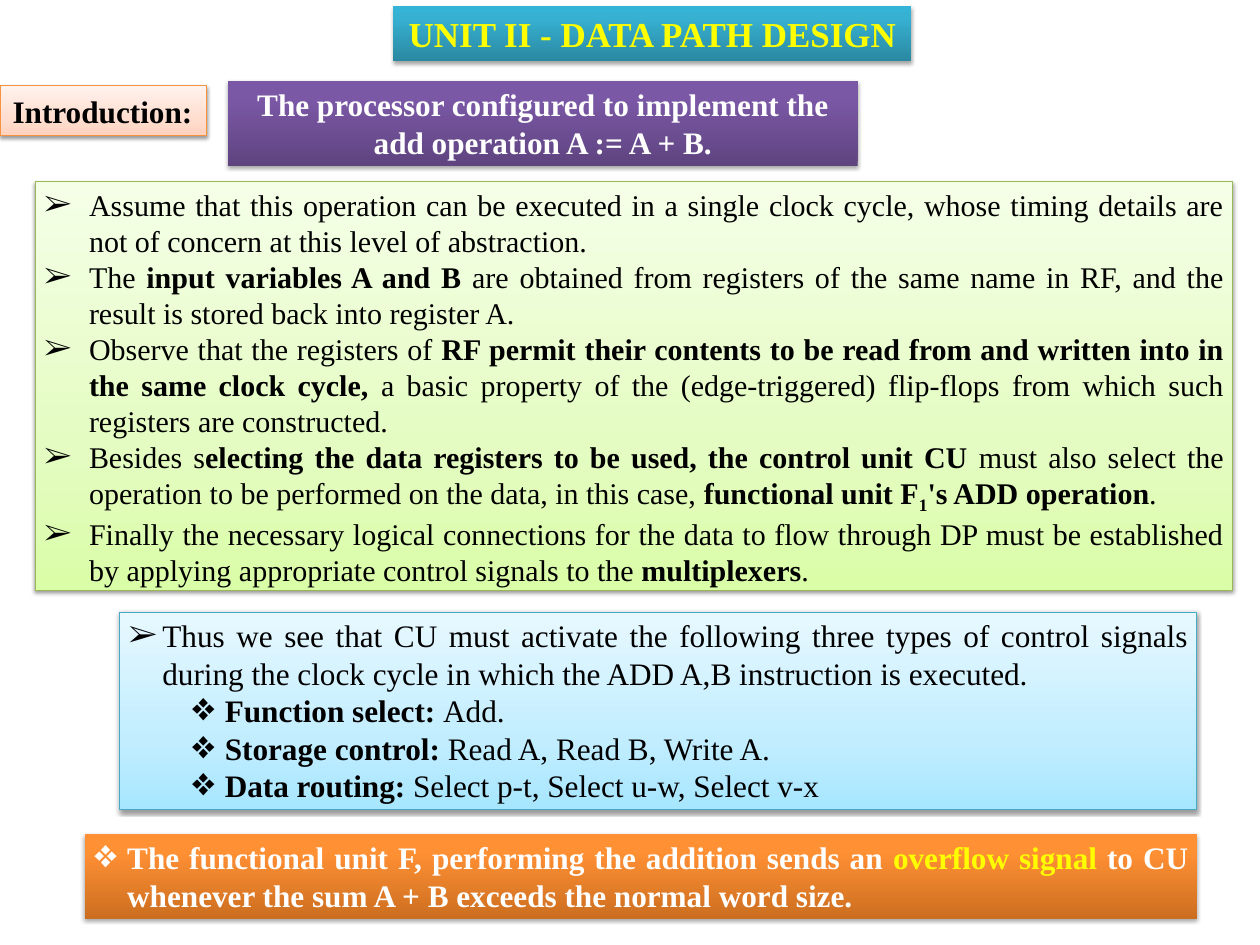
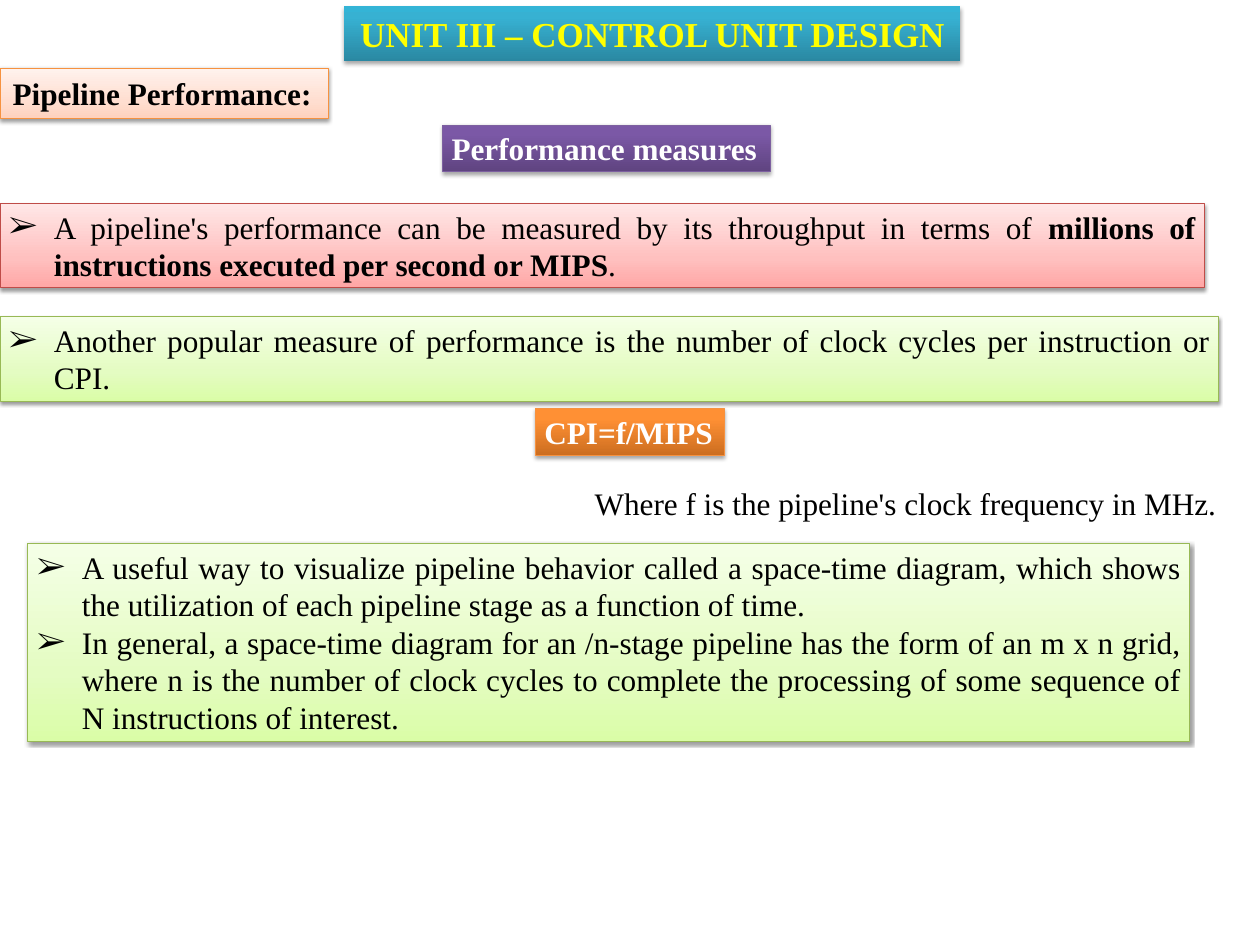
from copy import deepcopy
from typing import NamedTuple, Optional

from lxml.etree import SubElement
from pptx import Presentation
from pptx.dml.color import RGBColor
from pptx.enum.shapes import MSO_SHAPE
from pptx.enum.text import MSO_ANCHOR, MSO_AUTO_SIZE, PP_ALIGN
from pptx.oxml.ns import qn
from pptx.util import Pt

FONT = "Times New Roman"
TITLE_CENTER = 521.8
WIDE_INSET = (10.08, 5.04)
COLORS = {"black": "000000", "white": "FFFFFF", "yellow": "FFFF00"}
ARROW, DIAMOND = "➢", "❖"
LEFT, CENTER, JUSTIFY = PP_ALIGN.LEFT, PP_ALIGN.CENTER, PP_ALIGN.JUSTIFY


class Theme(NamedTuple):
    stops: tuple[str, str, str]
    line: str
    dark: bool = False


THEMES = {
    "peach": Theme(("FFD2BD", "FFDED0", "FFF2ED"), "F69240"),
    "green": Theme(("DAFDA7", "E4FCC2", "F5FFE7"), "98B955"),
    "blue": Theme(("A7E6FF", "C1EDFF", "E7F8FF"), "46AAC5"),
    "pink": Theme(("FFA6A5", "FFC0BF", "FFE7E7"), "BF4C48"),
    "teal": Theme(("2A88A2", "37B1D2", "34B4D6"), "46AAC5", True),
    "purple": Theme(("5F4480", "7B58A6", "7C57A8"), "7D60A0", True),
    "orange": Theme(("CC6E20", "FF9034", "FF9136"), "F69240", True),
}


class Span(NamedTuple):
    text: str
    bold: bool = False
    sub: bool = False
    color: Optional[str] = None


class Para(NamedTuple):
    spans: tuple[Span, ...]
    bullet: str = ""
    margin: float = 0
    hang: float = 0
    level: int = 0


class Panel(NamedTuple):
    box: tuple[float, float, float, float]
    paras: list[Para]
    theme: Optional[str] = None
    align: PP_ALIGN = JUSTIFY
    size: float = 25
    color: str = "black"
    wrap: bool = True
    outlined: bool = True
    inset: tuple[float, float] = (7.2, 3.6)


class Page(NamedTuple):
    title: Panel
    body: Panel
    panels: list[Panel]


def bold(text: str, color: Optional[str] = None) -> Span:
    return Span(text, bold=True, color=color)


def point(*spans: Span, bullet: str = ARROW) -> Para:
    """A list item with the wide hanging indent."""
    return Para(spans, bullet, 36, 36)


def signal(name: str, values: str) -> Para:
    return Para((bold(name + ": "), Span(values)), DIAMOND, 77, 27, 1)


def unit_title(text: str, width: float) -> Panel:
    return Panel((TITLE_CENTER - width / 2, 5, width, 44), [Para((bold(text),))], "teal",
                 CENTER, 28, "yellow", False, False, WIDE_INSET)


def topic(text: str, top: float, width: float) -> Panel:
    return Panel((0, top, width, 40.3), [Para((bold(text),))], "peach", LEFT,
                 wrap=False, inset=WIDE_INSET)


def one_line(box: tuple[float, float, float, float], span: Span,
             theme: Optional[str] = None, color: str = "white") -> Panel:
    return Panel(box, [point(span, bullet="")], theme, color=color, wrap=False)


def rgb(value: str) -> RGBColor:
    return RGBColor.from_string(value)


def paint(sp, theme: Theme, outlined: bool) -> None:
    """Give a shape its gradient, outline and soft shadow."""
    sp.fill.gradient()
    sp.fill.gradient_angle = 90
    stops = sp.element.spPr.find(".//" + qn("a:gsLst"))
    stops.insert(1, deepcopy(stops[0]))
    places = (0, 0.8 if theme.dark else 0.35, 1)
    for stop, color, place in zip(sp.fill.gradient_stops, theme.stops, places):
        stop.color.rgb = rgb(color)
        stop.position = place
    if outlined:
        sp.line.color.rgb = rgb(theme.line)
        sp.line.width = Pt(0.75)
    else:
        sp.line.fill.background()
    sp.shadow.inherit = False
    effects = sp.element.spPr.find(qn("a:effectLst"))
    shadow = SubElement(effects, qn("a:outerShdw"), blurRad=str(Pt(3.15)),
                        dist=str(Pt(1.8 if theme.dark else 1.6)), dir="5400000",
                        rotWithShape="0")
    black = SubElement(shadow, qn("a:srgbClr"), val=COLORS["black"])
    SubElement(black, qn("a:alpha"), val="35000" if theme.dark else "38000")


def write_para(p, para: Para, panel: Panel) -> None:
    p.level = para.level
    p.alignment = panel.align
    p.space_before = Pt(0)
    pPr = p._p.get_or_add_pPr()
    pPr.set("marL", str(Pt(para.margin)))
    pPr.set("indent", str(-Pt(para.hang)))
    if para.bullet:
        SubElement(pPr, qn("a:buFont"), typeface=FONT)
        SubElement(pPr, qn("a:buChar"), char=para.bullet)
    else:
        SubElement(pPr, qn("a:buNone"))
    for span in para.spans:
        r = p.add_run()
        r.text = span.text
        r.font.name = FONT
        r.font.size = Pt(panel.size)
        r.font.bold = span.bold
        r.font.color.rgb = rgb(COLORS[span.color or panel.color])
        if span.sub:
            r._r.get_or_add_rPr().set("baseline", "-25000")


def fill_panel(sp, panel: Panel) -> None:
    sp.left, sp.top, sp.width, sp.height = (Pt(v) for v in panel.box)
    if panel.theme:
        paint(sp, THEMES[panel.theme], panel.outlined)
    tf = sp.text_frame
    tf.word_wrap = panel.wrap
    fixed = sp.is_placeholder
    tf.auto_size = MSO_AUTO_SIZE.NONE if fixed else MSO_AUTO_SIZE.SHAPE_TO_FIT_TEXT
    tf.vertical_anchor = MSO_ANCHOR.TOP
    tf.margin_left = tf.margin_right = Pt(panel.inset[0])
    tf.margin_top = tf.margin_bottom = Pt(panel.inset[1])
    for i, para in enumerate(panel.paras):
        write_para(tf.add_paragraph() if i else tf.paragraphs[0], para, panel)


def add_panel(s, panel: Panel) -> None:
    box = [Pt(v) for v in panel.box]
    if panel.theme:
        sp = s.shapes.add_shape(MSO_SHAPE.RECTANGLE, *box)
    else:
        sp = s.shapes.add_textbox(*box)
    fill_panel(sp, panel)


DATA_PATH = Page(
    unit_title("UNIT II - DATA PATH DESIGN", 414.7),
    Panel((28, 145.4, 958.3, 327), [
        point(Span("Assume that this operation can be executed in a single clock cycle, whose "
                   "timing details are not of concern at this level of abstraction.")),
        point(Span("The"), bold(" input variables A and B "),
              Span("are obtained from registers of the same name in RF, and the result is "
                   "stored back into register A.")),
        point(Span("Observe that the registers of "),
              bold("RF permit their contents to be read from and written into in the same "
                   "clock cycle, "),
              Span("a basic property of the (edge-triggered) flip-flops from which such "
                   "registers are constructed.")),
        point(Span("Besides s"),
              bold("electing the data registers to be used, the control unit CU "),
              Span("must also select the operation to be performed on the data, in this case, "),
              bold("functional unit F"), Span("1", bold=True, sub=True),
              bold("'s ADD operation"), Span(".")),
        point(Span("Finally the necessary logical connections for the data to flow through DP "
                   "must be established by applying appropriate control signals to the "),
              bold("multiplexers"), Span(".")),
    ], "green", size=24),
    [
        topic("Introduction:", 68.4, 165.6),
        Panel((182.2, 64.8, 504, 67.7),
              [Para((bold("The processor configured to implement the add operation "
                          "A := A + B."),))],
              "purple", CENTER, color="white", outlined=False),
        Panel((95.8, 489.6, 861.8, 158.4), [
            Para((Span("Thus we see that CU must activate the following three types of control "
                       "signals during the clock cycle in which the ADD A,B instruction is "
                       "executed."),), ARROW, 27, 27),
            signal("Function select", "Add."),
            signal("Storage control", "Read A, Read B, Write A."),
            signal("Data routing", "Select p-t, Select u-w, Select v-x"),
        ], "blue"),
        Panel((67.7, 667.4, 889.9, 67.7), [
            Para((bold("The functional unit F, performing the addition sends an "),
                  bold("overflow signal", "yellow"),
                  bold(" to CU whenever the sum A + B exceeds the normal word size.")),
                 DIAMOND, 27, 27),
        ], "orange", color="white", outlined=False),
    ],
)

CONTROL_UNIT = Page(
    unit_title("UNIT III – CONTROL UNIT DESIGN", 493.2),
    Panel((22.3, 434.9, 929.5, 158.4), [
        point(Span("A useful way to visualize pipeline behavior called a space-time diagram, "
                   "which shows the utilization of each pipeline stage as a function of time.")),
        point(Span("In general, a space-time diagram for an /n-stage pipeline has the form of an "
                   "m x n grid, where n is the number of clock cycles to complete the processing "
                   "of some sequence of N instructions of interest.")),
    ], "green"),
    [
        topic("Pipeline Performance:", 54.7, 262.8),
        one_line((354.2, 100, 262, 37.4), bold("Performance measures"), "purple"),
        Panel((0, 162.7, 963.4, 67.7), [
            point(Span("A pipeline's performance can be measured by its throughput in terms of "),
                  bold("millions of instructions executed per second or MIPS"), Span(".")),
        ], "pink"),
        Panel((0, 253.4, 974.9, 67.7), [
            point(Span("Another popular measure of performance is the number of clock cycles "
                       "per instruction or CPI.")),
        ], "green"),
        one_line((428.4, 327, 151.2, 37.4), bold("CPI=f/MIPS"), "orange"),
        one_line((468.7, 383.8, 518.4, 37.4),
                 Span("Where f is the pipeline's clock frequency in MHz."), color="black"),
    ],
)


def main() -> None:
    prs = Presentation()
    prs.slide_width, prs.slide_height = Pt(1008), Pt(756)
    for page in (DATA_PATH, CONTROL_UNIT):
        s = prs.slides.add_slide(prs.slide_layouts[1])
        fill_panel(s.shapes.title, page.title)
        fill_panel(s.placeholders[1], page.body)
        for panel in page.panels:
            add_panel(s, panel)
    prs.save("out.pptx")


if __name__ == "__main__":
    main()
